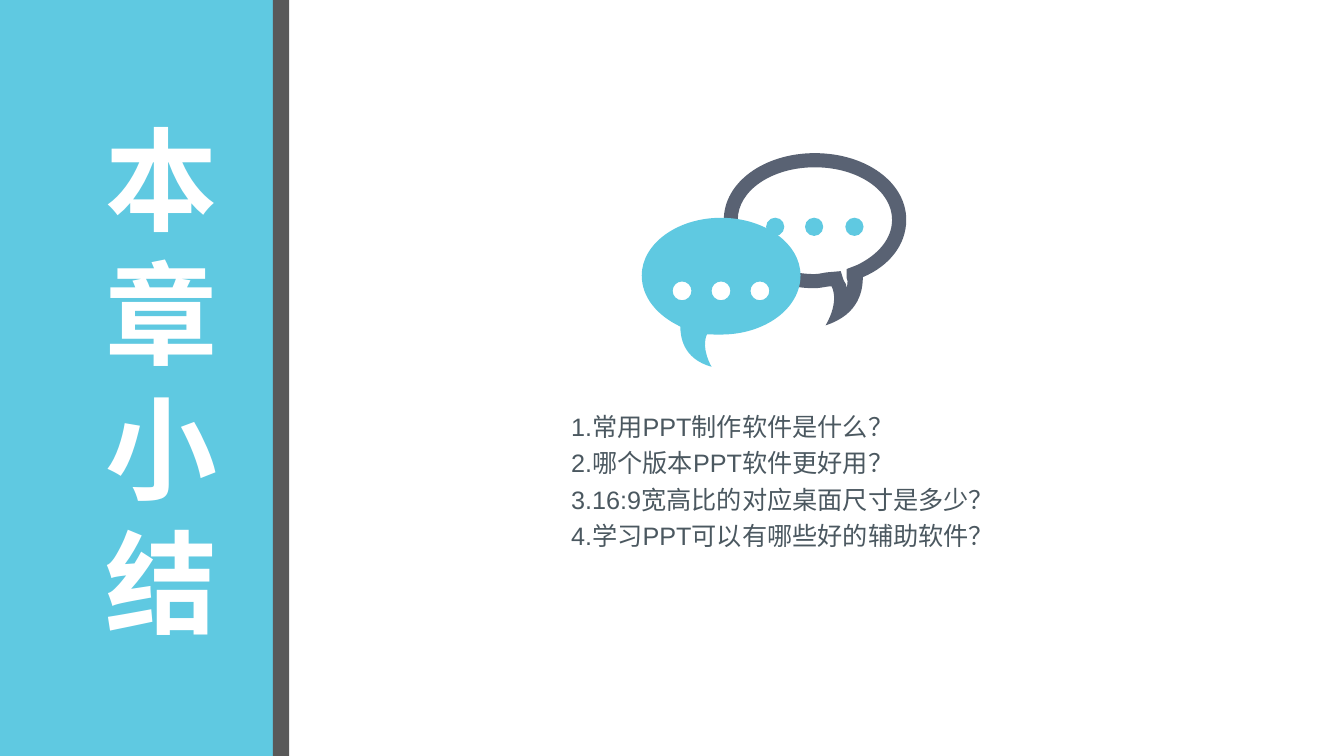
"""Build the chapter summary slide with its review questions and chat bubbles."""
from lxml.etree import SubElement
from pptx import Presentation
from pptx.dml.color import RGBColor
from pptx.enum.shapes import MSO_SHAPE
from pptx.enum.text import MSO_ANCHOR, MSO_AUTO_SIZE, PP_ALIGN
from pptx.oxml.ns import qn
from pptx.util import Pt

TEAL, SLATE, GREY, INK, WHITE = "5FC9E1", "596273", "595959", "4B5860", "FFFFFF"


def paint(shape, color):
    shape.shadow.inherit = False
    shape.fill.solid()
    shape.fill.fore_color.rgb = RGBColor.from_string(color)
    shape.line.fill.background()


def draw(group, loops, color):
    fine = [[(x * 100, y * 100) for x, y in loop] for loop in loops]
    pen = group.shapes.build_freeform(*fine[0][0], scale=Pt(0.01))
    for spot, loop in enumerate(fine):
        if spot:
            pen.move_to(*loop[0])
        pen.add_line_segments(loop[1:], close=True)
    shape = pen.convert_to_shape()
    lines = list(shape.element.iter(qn("a:lnTo")))
    for first, *rest in zip(lines[::3], lines[1::3], lines[2::3]):
        first.tag = qn("a:cubicBezTo")
        for line in rest:
            first.append(line[0])
            line.getparent().remove(line)
    paint(shape, color)


deck = Presentation()
deck.slide_width, deck.slide_height = Pt(960), Pt(540)
slide = deck.slides.add_slide(deck.slide_layouts[1])
shapes = slide.shapes

for spot, (left, width, color) in enumerate([(0, 195, TEAL), (195, 11.5, GREY)], 2):
    bar = shapes.add_shape(MSO_SHAPE.RECTANGLE, Pt(left), 0, Pt(width), Pt(540))
    paint(bar, color)
    shapes.element.insert(spot, bar.element)

title, body = shapes.title, slide.placeholders[1]
asks = ["1.常用PPT制作软件是什么？", "2.哪个版本PPT软件更好用？",
        "3.16:9宽高比的对应桌面尺寸是多少？", "4.学习PPT可以有哪些好的辅助软件？"]
for box, place, lines, size, color, bold, gap in [
        (title, (68.4, 75.2, 95, 395.3), "本章小结", 80, WHITE, True, 1.0),
        (body, (400.8, 286, 319.7, 112.3), asks, 18, INK, False, 1.2)]:
    box.left, box.top, box.width, box.height = map(Pt, place)
    frame = box.text_frame
    frame.text = "\n".join(lines)
    frame.word_wrap = False
    frame.auto_size = MSO_AUTO_SIZE.SHAPE_TO_FIT_TEXT
    frame.vertical_anchor = MSO_ANCHOR.TOP
    for para in frame.paragraphs:
        para.alignment = PP_ALIGN.LEFT
        para.line_spacing = gap
        para.space_before = Pt(0)
        props = para._p.get_or_add_pPr()
        props.set("marL", "0")
        props.set("indent", "0")
        SubElement(props, qn("a:buNone"))
        para.font.name, para.font.size, para.font.bold = "Arial", Pt(size), bold
        para.font.color.rgb = RGBColor.from_string(color)

inner = [(582, 119.5), (612.7, 119.5), (637.2, 136), (637.2, 157),
         (637.2, 170.6), (627.1, 182.2), (612, 189.4),
         (604.8, 192.2), (604.8, 192.2), (604.8, 192.2),
         (604.8, 198.7), (604.8, 198.7), (604.8, 198.7),
         (606.2, 201.6), (604.8, 203.8), (604.8, 205.9),
         (604.8, 203.8), (604.1, 202.3), (602.6, 200.2),
         (600.5, 193.7), (600.5, 193.7), (600.5, 193.7),
         (592.6, 194.4), (592.6, 194.4), (592.6, 194.4),
         (589.7, 194.4), (585.4, 195.8), (582, 195.8),
         (551.5, 195.8), (527, 177.8), (527, 157),
         (527, 136), (551.5, 119.5), (582, 119.5)]
outer = [(582, 109.4), (545.8, 109.4), (517, 130.3), (517, 157),
         (517, 183.6), (545.8, 205.9), (582, 205.9),
         (586.1, 205.9), (590.4, 204.5), (594, 204.5),
         (599.8, 216.7), (589.7, 232.4), (589.7, 232.4),
         (614.2, 224.6), (616.3, 206.6), (616.3, 198),
         (635, 190.1), (647.3, 175), (647.3, 157),
         (647.3, 130.3), (618.5, 109.4), (582, 109.4)]
front = [(515, 155.6), (483.8, 155.6), (458.4, 174.2), (458.4, 196.8),
         (458.4, 212.4), (469.4, 225.4), (486, 233.3),
         (486, 239.8), (487.4, 256.3), (508.3, 262),
         (508.3, 262), (500.4, 249.1), (505, 238.8),
         (508.3, 239), (511.9, 239), (515, 239),
         (546.5, 239), (571.8, 220.3), (571.8, 196.8),
         (571.8, 174.2), (546.5, 155.6), (515, 155.6)]
ring = [(0, 6.7), (-3.7, 6.7), (-6.7, 3.7), (-6.7, 0),
        (-6.7, -3.7), (-3.7, -6.7), (0, -6.7),
        (3.7, -6.7), (6.7, -3.7), (6.7, 0),
        (6.7, 3.7), (3.7, 6.7), (0, 6.7)]
holes = [[(mid + x, 207.8 + y) for x, y in ring] for mid in (487.2, 515, 542.8)]

chat = shapes.add_group_shape()
draw(chat, [inner, outer], SLATE)
for left in (547.2, 575, 603.8):
    dot = chat.shapes.add_shape(MSO_SHAPE.OVAL, Pt(left), Pt(155.5), Pt(13), Pt(13))
    paint(dot, TEAL)
draw(chat, [front, *holes], TEAL)

deck.save("out.pptx")
